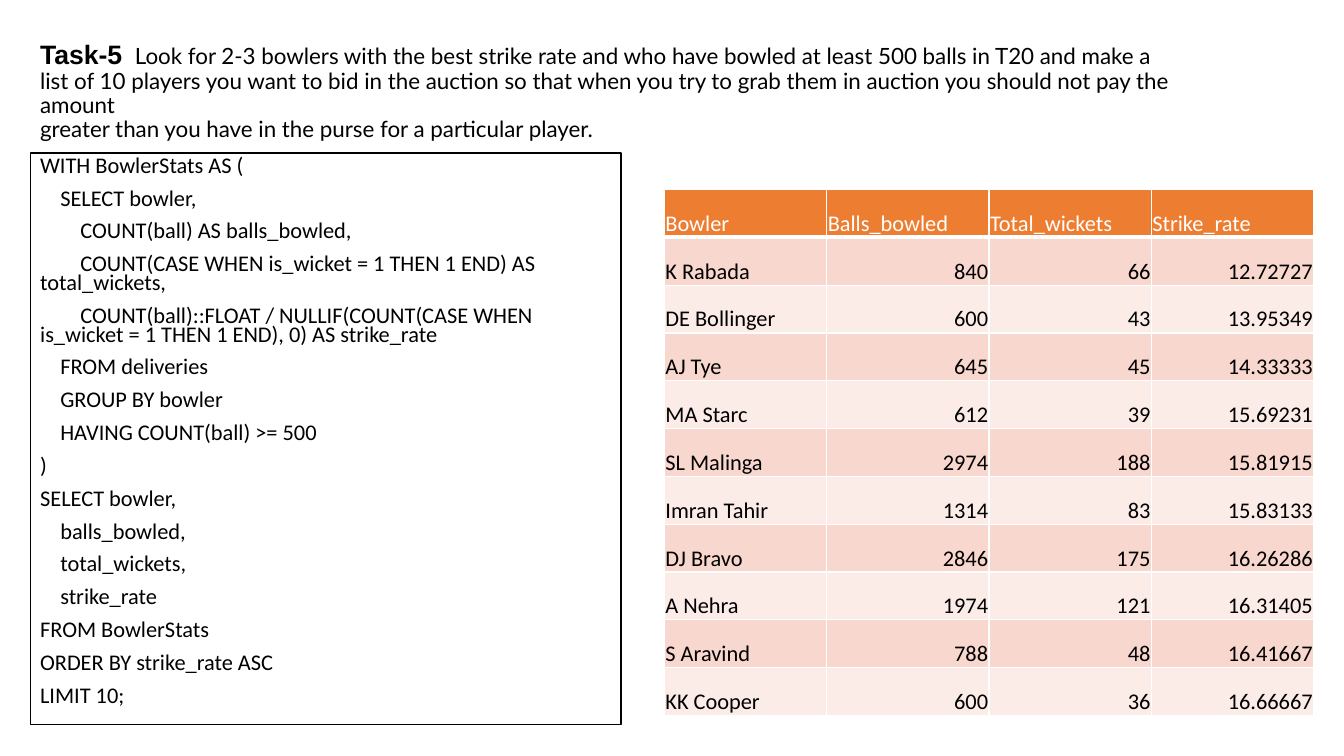
from dataclasses import dataclass

from pptx import Presentation
from pptx.dml.color import RGBColor
from pptx.enum.text import MSO_ANCHOR as Anchor, PP_ALIGN as Align
from pptx.oxml.ns import qn
from pptx.util import Inches, Pt
from lxml.etree import SubElement


@dataclass(frozen=True)
class Theme:
    black: str = "000000"
    white: str = "FFFFFF"
    header: str = "ED7D31"
    bands: tuple = ("F8D7CE", "FCECE8")
    label_size: int = 19
    body_size: int = 16
    label_font: str = "Arial"
    task_font: str = "Lato"
    body_font: str = "Calibri"


THEME = Theme()

TASK_LINES = [
    "Look for 2-3 bowlers with the best strike rate and who have bowled at least 500 balls in T20 "
    "and make a list of 10 players you want to bid in the auction so that when you try to grab "
    "them in auction you should not pay the amount",
    "greater than you have in the purse for a particular player.",
]

QUERY = """WITH BowlerStats AS (
    SELECT bowler,
        COUNT(ball) AS balls_bowled,
        COUNT(CASE WHEN is_wicket = 1 THEN 1 END) AS total_wickets,
        COUNT(ball)::FLOAT / NULLIF(COUNT(CASE WHEN is_wicket = 1 THEN 1 END), 0) AS strike_rate
    FROM deliveries
    GROUP BY bowler
    HAVING COUNT(ball) >= 500
)
SELECT bowler,
    balls_bowled,
    total_wickets,
    strike_rate
FROM BowlerStats
ORDER BY strike_rate ASC
LIMIT 10;"""

BOWLERS = [
    ("Bowler", "Balls_bowled", "Total_wickets", "Strike_rate"),
    ("K Rabada", "840", "66", "12.72727"),
    ("DE Bollinger", "600", "43", "13.95349"),
    ("AJ Tye", "645", "45", "14.33333"),
    ("MA Starc", "612", "39", "15.69231"),
    ("SL Malinga", "2974", "188", "15.81915"),
    ("Imran Tahir", "1314", "83", "15.83133"),
    ("DJ Bravo", "2846", "175", "16.26286"),
    ("A Nehra", "1974", "121", "16.31405"),
    ("S Aravind", "788", "48", "16.41667"),
    ("KK Cooper", "600", "36", "16.66667"),
]


def style_run(run, font, size, color=THEME.black, bold=False):
    run.font.name = font
    run.font.size = Pt(size)
    run.font.bold = bold
    run.font.color.rgb = RGBColor.from_string(color)


def add_text_box(slide, left, top, width, height):
    shape = slide.shapes.add_textbox(Inches(left), Inches(top), Inches(width), Inches(height))
    shape.text_frame.word_wrap = True
    return shape


def add_tab_stop(paragraph, position):
    tabs = SubElement(paragraph._p.get_or_add_pPr(), qn("a:tabLst"))
    SubElement(tabs, qn("a:tab"), pos=str(Inches(position)), algn="l")


def add_task(slide):
    text_frame = add_text_box(slide, 0.3, 0.3, 11.5, 1.23).text_frame
    text_frame.vertical_anchor = Anchor.MIDDLE
    paragraph = text_frame.paragraphs[0]
    add_tab_stop(paragraph, 0.94)
    paragraph.line_spacing = 0.9
    paragraph.text = "Task-5\t"
    style_run(paragraph.runs[0], THEME.label_font, THEME.label_size, bold=True)
    for index, line in enumerate(TASK_LINES):
        if index:
            paragraph.add_line_break()
        run = paragraph.add_run()
        run.text = line
        style_run(run, THEME.task_font, THEME.body_size)


def add_query(slide):
    shape = add_text_box(slide, 0.3, 1.52, 5.86, 5.67)
    shape.fill.solid()
    shape.fill.fore_color.rgb = RGBColor.from_string(THEME.white)
    shape.line.color.rgb = RGBColor.from_string(THEME.black)
    shape.line.width = Pt(1)
    shape.text_frame.text = QUERY
    for index, paragraph in enumerate(shape.text_frame.paragraphs):
        paragraph.line_spacing = 0.7
        paragraph.space_before = Pt(10 if index else 0)
        style_run(paragraph.runs[0], THEME.body_font, THEME.body_size)


def add_borders(cell, widths):
    properties = cell._tc.get_or_add_tcPr()
    for index, (side, width) in enumerate(widths.items()):
        line = SubElement(properties, qn(f"a:ln{side}"), w=str(Pt(width)))
        fill = SubElement(line, qn("a:solidFill"))
        SubElement(fill, qn("a:srgbClr"), val=THEME.white)
        properties.insert(index, line)


def fill_cell(cell, text, row, column):
    is_header = row == 0
    cell.text = text
    cell.vertical_anchor = Anchor.BOTTOM
    cell.margin_left = cell.margin_right = cell.margin_top = Inches(0.01)
    cell.margin_bottom = 0
    cell.fill.solid()
    color = THEME.header if is_header else THEME.bands[(row - 1) % 2]
    cell.fill.fore_color.rgb = RGBColor.from_string(color)
    add_borders(cell, {"L": 1, "R": 1, "T": 3 if row == 1 else 1, "B": 3 if is_header else 1})
    paragraph = cell.text_frame.paragraphs[0]
    paragraph.alignment = Align.LEFT if is_header or column == 0 else Align.RIGHT
    style_run(paragraph.runs[0], THEME.body_font, THEME.body_size,
              THEME.white if is_header else THEME.black)


def add_bowler_table(slide):
    row_count, column_count = len(BOWLERS), len(BOWLERS[0])
    table = slide.shapes.add_table(row_count, column_count, Inches(6.59), Inches(1.88),
                                   Inches(6.44), Inches(5.22)).table
    table.first_row = table.horz_banding = False
    for row, values in enumerate(BOWLERS):
        for column, text in enumerate(values):
            fill_cell(table.cell(row, column), text, row, column)


def main():
    presentation = Presentation()
    presentation.slide_width = Inches(13.33)
    presentation.slide_height = Inches(7.5)
    slide = presentation.slides.add_slide(presentation.slide_layouts[6])
    add_task(slide)
    add_query(slide)
    add_bowler_table(slide)
    presentation.save("out.pptx")


if __name__ == "__main__":
    main()
